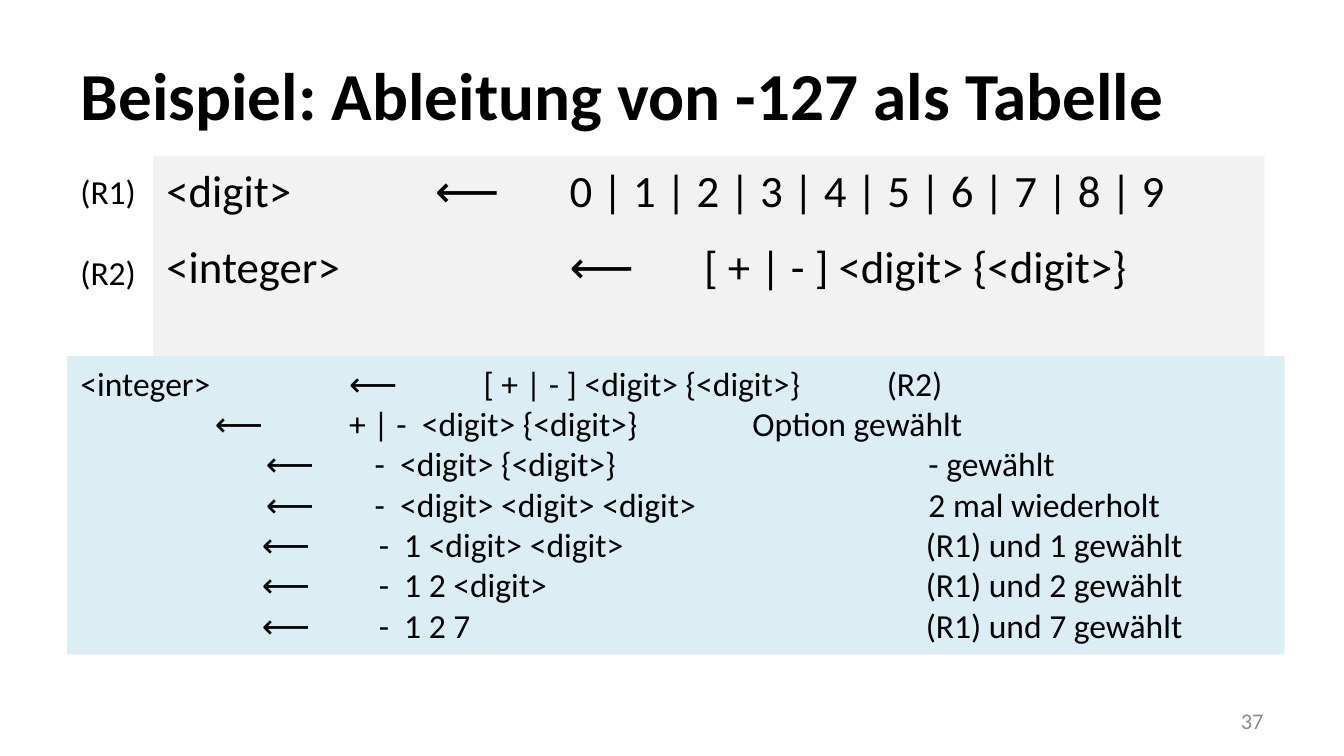
from lxml import etree
from pptx import Presentation
from pptx import util as u
from pptx.dml.color import RGBColor
from pptx.enum import shapes, text
from pptx.oxml.ns import qn

COLORS = {"ink": "000000", "grammar": "F2F2F2", "derivation": "DBEEF4", "number": "8C8C8C"}
FONT = "Calibri"
DIGIT_STOPS = (1.35, 2.22, 6.29)

RULES = [
    ("<digit>\t\t⟵\t0 | 1 | 2 | 3 | 4 | 5 | 6 | 7 | 8 | 9", (1, 2, 3)),
    ("<integer>\t\t⟵\t[ + | - ] <digit> {<digit>}", (2, 3, 4)),
]
STEPS = [
    ("<integer>\t⟵\t[ + | - ] <digit> {<digit>}\t(R2)", (2, 3, 6)),
    ("\t⟵\t+ | -  <digit> {<digit>}\tOption gewählt", (1, 2, 5)),
    ("\t⟵\t-  <digit> {<digit>}\t- gewählt\n"
     "\t⟵\t-  <digit> <digit> <digit>\t2 mal wiederholt", (1.38, 2.19, 6.31)),
    ("\t⟵\t-  1 <digit> <digit>\t(R1) und 1 gewählt", DIGIT_STOPS),
    ("\t⟵\t-  1 2 <digit>\t(R1) und 2 gewählt", DIGIT_STOPS),
    ("\t⟵\t-  1 2 7\t(R1) und 7 gewählt", DIGIT_STOPS),
]


def set_tabs(paragraph, stops):
    tab_list = etree.SubElement(paragraph._p.get_or_add_pPr(), qn("a:tabLst"))
    for stop in stops:
        etree.SubElement(tab_list, qn("a:tab"), pos=str(int(u.Inches(stop))), algn="l")


def write(shape, lines, size, color="ink", bold=False, align=text.PP_ALIGN.LEFT,
          anchor=text.MSO_ANCHOR.TOP, before=0, after=0, stops=None):
    frame = shape.text_frame
    frame.word_wrap = True
    frame.vertical_anchor = anchor
    for index, line in enumerate(lines):
        paragraph = frame.add_paragraph() if index else frame.paragraphs[0]
        paragraph.alignment = align
        paragraph.space_before = u.Pt(before if index else 0)
        paragraph.space_after = u.Pt(after)
        if stops:
            set_tabs(paragraph, stops[index])
        for part_index, part in enumerate(line.split("\n")):
            if part_index:
                paragraph.add_line_break()
            run = paragraph.add_run()
            run.text = part
            run.font.name = FONT
            run.font.size = u.Pt(size)
            run.font.bold = bold
            run.font.color.rgb = RGBColor.from_string(COLORS[color])


def add_panel(slide, box, color):
    panel = slide.shapes.add_shape(shapes.MSO_SHAPE.RECTANGLE, *map(u.Inches, box))
    panel.shadow.inherit = False
    panel.fill.solid()
    panel.fill.fore_color.rgb = RGBColor.from_string(COLORS[color])
    panel.line.fill.background()
    return panel


def add_title(slide, box):
    title = slide.shapes.title
    title.left, title.top, title.width, title.height = map(u.Inches, box)
    write(title, ["Beispiel: Ableitung von -127 als Tabelle"], 36, bold=True,
          anchor=text.MSO_ANCHOR.MIDDLE)


def add_grammar(slide, box):
    left, top, width, height = box
    label_width = 0.64
    lines, stops = zip(*RULES)
    panel = add_panel(slide, (left + label_width, top, width - label_width, height), "grammar")
    write(panel, lines, 24, before=6, after=6, stops=stops)
    labels = slide.shapes.add_textbox(*map(u.Inches, (left, top + 0.06, 0.77, 1.01)))
    write(labels, ["(R1)", "(R2)"], 18, before=22)


def add_derivation(slide, box):
    lines, stops = zip(*STEPS)
    write(add_panel(slide, box, "derivation"), lines, 18, stops=stops)


def add_slide_number(slide, box):
    number = slide.shapes.add_textbox(*map(u.Inches, box))
    write(number, ["37"], 12, "number", align=text.PP_ALIGN.RIGHT,
          anchor=text.MSO_ANCHOR.MIDDLE)


def main():
    presentation = Presentation()
    presentation.slide_width = u.Inches(10)
    presentation.slide_height = presentation.slide_width * 9 // 16
    slide = presentation.slides.add_slide(presentation.slide_layouts[5])
    add_title(slide, (0.5, 0.23, 9, 0.94))
    add_grammar(slide, (0.5, 1.16, 8.91, 1.63))
    add_derivation(slide, (0.5, 2.65, 9.06, 2.22))
    add_slide_number(slide, (7.17, 5.21, 2.33, 0.3))
    presentation.save("out.pptx")


if __name__ == "__main__":
    main()
